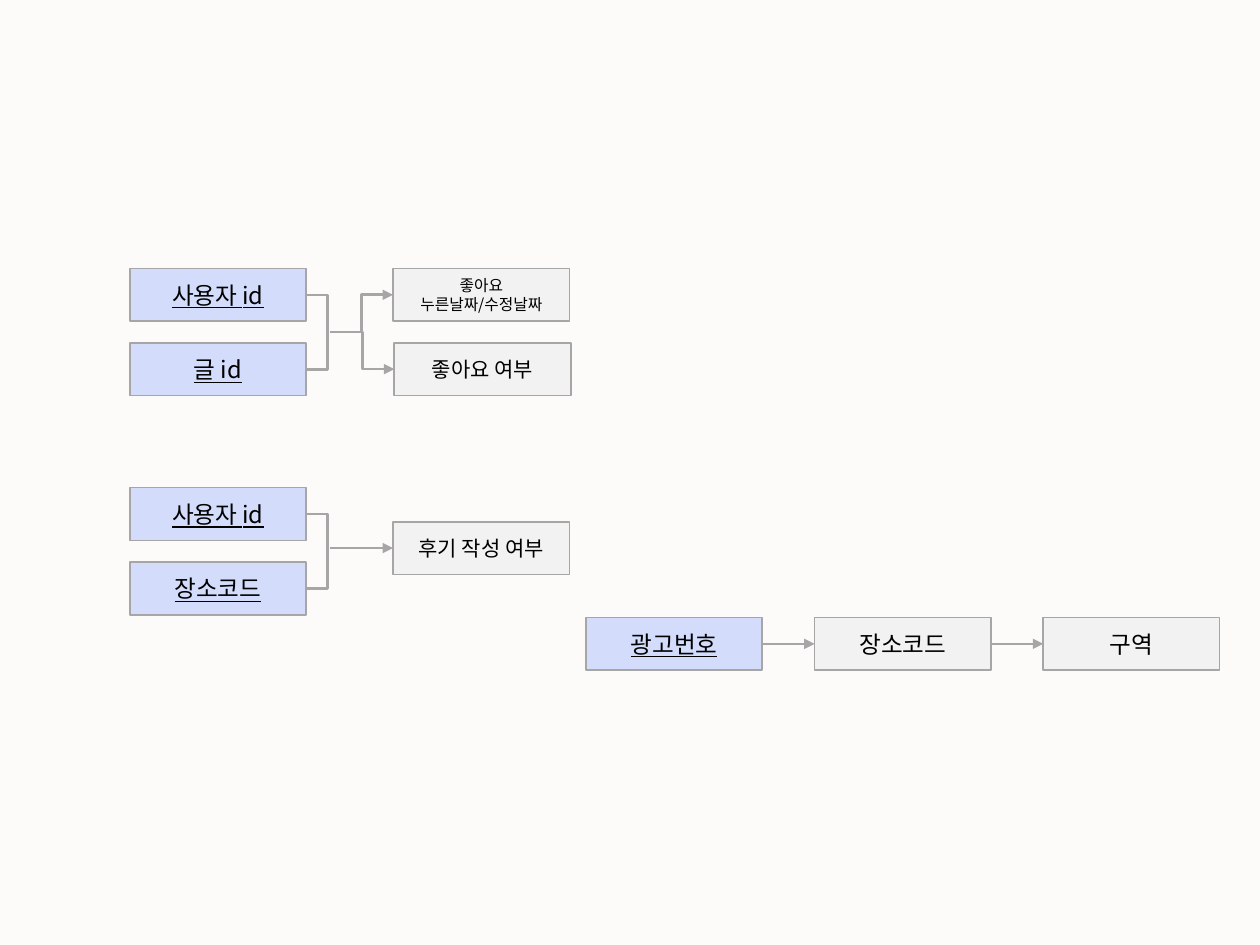
from lxml import etree
from pptx import Presentation
from pptx.dml.color import RGBColor
from pptx.enum.shapes import MSO_CONNECTOR as LINK, MSO_SHAPE
from pptx.enum.text import MSO_ANCHOR, PP_ALIGN
from pptx.oxml.ns import qn
from pptx.util import Inches, Pt

COLORS = {"page": "FCFBFA", "key": "D3DDFB", "value": "F2F2F2",
          "line": "A6A6A6", "text": "000000"}
FONT = "Noto Sans CJK KR"
BOX_W, BOX_H = 1.4, 0.42
KEY_X, VALUE_X, BRACKET_X = 1.03, 3.12, 2.62
ROW_STEP = 0.59

deck = Presentation()
deck.slide_width, deck.slide_height = Inches(10), Inches(7.5)
page = deck.slides.add_slide(deck.slide_layouts[6])
page.background.fill.solid()
page.background.fill.fore_color.rgb = RGBColor.from_string(COLORS["page"])


def add_box(text, left, top, size=13.5, key=False):
    """Add an attribute box; key attributes are blue and underlined."""
    box = page.shapes.add_shape(MSO_SHAPE.RECTANGLE, Inches(left), Inches(top),
                                Inches(BOX_W), Inches(BOX_H))
    box.shadow.inherit = False
    box.fill.solid()
    box.fill.fore_color.rgb = RGBColor.from_string(COLORS["key" if key else "value"])
    box.line.color.rgb = RGBColor.from_string(COLORS["line"])
    box.line.width = Pt(1)
    frame = box.text_frame
    frame.word_wrap = True
    frame.vertical_anchor = MSO_ANCHOR.MIDDLE
    frame.margin_left = frame.margin_right = Inches(0.07)
    frame.margin_top = frame.margin_bottom = Inches(0.04)
    frame.text = text
    for para in frame.paragraphs:
        para.alignment = PP_ALIGN.CENTER
        for span in para.runs:
            span.font.size = Pt(size)
            span.font.name = FONT
            span.font.underline = key or None
            span.font.color.rgb = RGBColor.from_string(COLORS["text"])
            etree.SubElement(span.font._element, qn("a:ea"), typeface=FONT)
    return box


def add_link(start, end, kind=LINK.STRAIGHT, arrow=True, bend=None):
    """Add a connector; bend places the elbow, as a multiple of its width."""
    link = page.shapes.add_connector(kind, *map(Inches, start + end))
    link.line.color.rgb = RGBColor.from_string(COLORS["line"])
    link.line.width = Pt(1.5)
    properties = link._element.spPr
    if arrow:
        etree.SubElement(properties.find(qn("a:ln")), qn("a:tailEnd"), type="triangle")
    if bend is not None:
        guides = properties.find(qn("a:prstGeom")).find(qn("a:avLst"))
        etree.SubElement(guides, qn("a:gd"), name="adj1", fmla=f"val {round(bend * 100000)}")
    etree.SubElement(properties, qn("a:effectLst"))
    return link


# Composite keys, each pair joined by a bracket
for top, second_key in ((2.13, "글 id"), (3.87, "장소코드")):
    add_box("사용자 id", KEY_X, top, key=True)
    add_box(second_key, KEY_X, top + ROW_STEP, key=True)
    middle = top + BOX_H / 2
    add_link((2.42, middle), (2.43, middle + ROW_STEP), LINK.ELBOW, arrow=False, bend=18)

# Attributes that depend on the composite keys
for text, left, top, size in (("좋아요\n누른날짜/수정날짜", VALUE_X, 2.13, 9),
                              ("좋아요 여부", VALUE_X + 0.01, 2.72, 12)):
    add_box(text, left, top, size=size)
    add_link((BRACKET_X, 2.635), (left, top + BOX_H / 2), LINK.ELBOW)

review = add_box("후기 작성 여부", VALUE_X, 4.14, size=12)
add_link((BRACKET_X, 4.35), (VALUE_X, 4.35)).end_connect(review, 1)

# Advertisement chain
chain_y = 4.9
chain = [add_box(text, 4.65 + 1.815 * i, chain_y, key=i == 0)
         for i, text in enumerate(("광고번호", "장소코드", "구역"))]
for source, target in zip(chain, chain[1:]):
    link = add_link((0, chain_y), (1, chain_y))
    link.begin_connect(source, 3)
    link.end_connect(target, 1)

deck.save("out.pptx")
